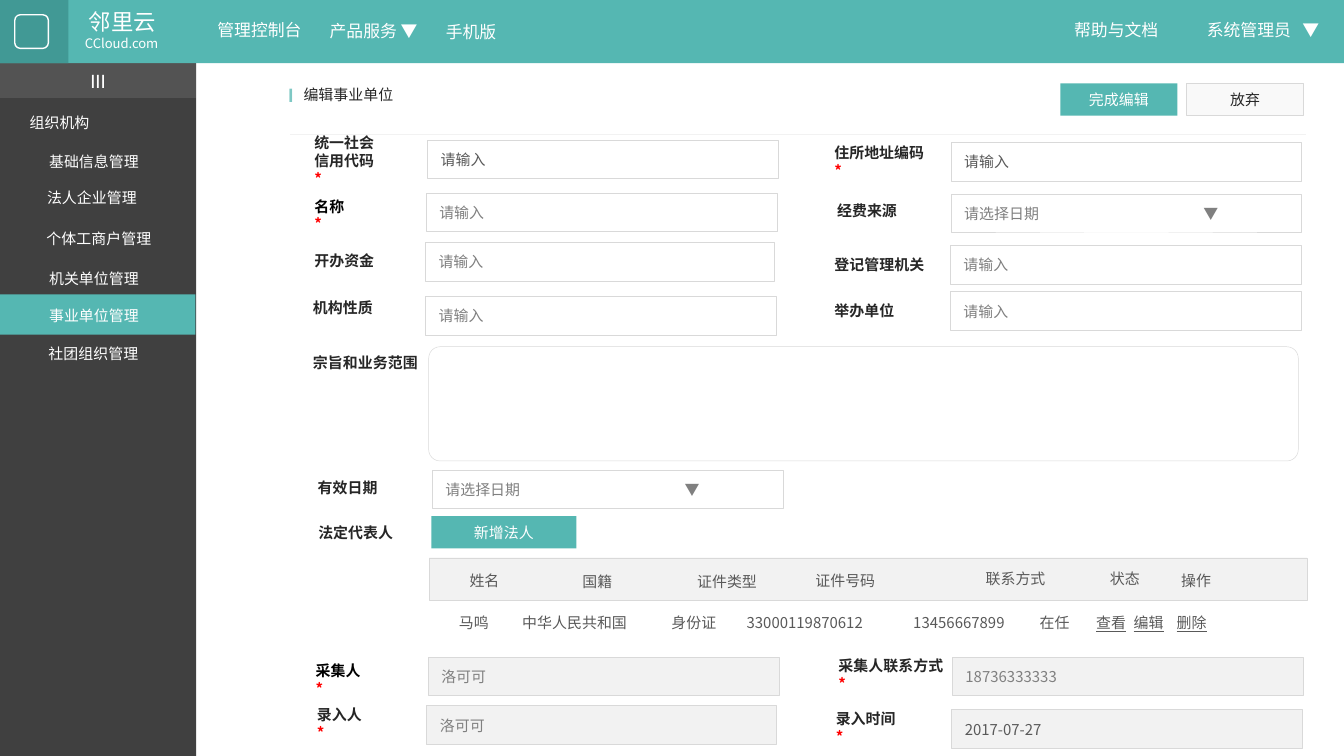
from typing import NamedTuple

from lxml.etree import SubElement
from pptx import Presentation
from pptx.dml.color import RGBColor
from pptx.enum.shapes import MSO_CONNECTOR, MSO_SHAPE
from pptx.enum.text import MSO_ANCHOR, PP_ALIGN
from pptx.oxml.ns import qn
from pptx.util import Inches, Pt

WIDTH = Inches(10)
HEIGHT = WIDTH * 9 // 16
COL, ROW = WIDTH / 100, HEIGHT / 56.25

WHITE = RGBColor(0xFF, 0xFF, 0xFF)
BLACK = RGBColor(0x00, 0x00, 0x00)
TEAL = RGBColor(0x55, 0xB7, 0xB2)
DARK_TEAL = RGBColor(0x41, 0x99, 0x95)
LIGHT_TEAL = RGBColor(0x7E, 0xC8, 0xC4)
CHARCOAL = RGBColor(0x40, 0x40, 0x40)
INK = RGBColor(0x26, 0x26, 0x26)
VALUE = RGBColor(0x59, 0x59, 0x59)
HINT = RGBColor(0x80, 0x80, 0x80)
BORDER = RGBColor(0xD9, 0xD9, 0xD9)
PALE = RGBColor(0xF2, 0xF2, 0xF2)
NEAR_WHITE = RGBColor(0xF9, 0xF9, 0xF9)
RED = RGBColor(0xFF, 0x00, 0x00)

CJK, LATIN = "Noto Sans CJK SC", "Calibri"
LEFT, CENTER = PP_ALIGN.LEFT, PP_ALIGN.CENTER
WIDE_INSET, SLIM_INSET = (0.1, 0.05, 0.1, 0.05), (0.07, 0.04, 0.07, 0.04)
LABEL_INSET = (0.1, 0.05, 0, 0.05)
ENTER, PICK_DATE = "请输入", "请选择日期\t▼"


class Area(NamedTuple):
    col: float
    row: float
    cols: float
    rows: float

    def emu(self):
        return (round(self.col * COL), round(self.row * ROW),
                round(self.cols * COL), round(self.rows * ROW))


class Label(NamedTuple):
    text: str
    area: Area
    color: RGBColor = INK


class Field(NamedTuple):
    text: str
    area: Area
    color: RGBColor = HINT
    fill: RGBColor | None = None


class Caption(NamedTuple):
    text: str
    area: Area
    size: float = 9


class Heading(NamedTuple):
    text: str
    area: Area
    align: PP_ALIGN = CENTER


def write(shape, text: str, *, size: float = 8, color: RGBColor = INK, font: str = CJK,
          bold: bool = False, align: PP_ALIGN = LEFT, anchor=MSO_ANCHOR.MIDDLE,
          inset: tuple = WIDE_INSET, tabs: tuple = (), underlined: tuple = ()) -> None:
    frame = shape.text_frame
    frame.word_wrap = True
    frame.vertical_anchor = anchor
    (frame.margin_left, frame.margin_top,
     frame.margin_right, frame.margin_bottom) = map(Inches, inset)
    for number, line in enumerate(text.split("\n")):
        paragraph = frame.add_paragraph() if number else frame.paragraphs[0]
        paragraph.alignment = align
        if tabs:
            stops = SubElement(paragraph._p.get_or_add_pPr(), qn("a:tabLst"))
            for position in tabs:
                SubElement(stops, qn("a:tab"), pos=str(Inches(position)), algn="l")
        for index, cell in enumerate(line.split("\t")):
            for piece in (["\t"] if index else []) + [cell]:
                run = paragraph.add_run()
                run.text = piece
                run.font.size = Pt(size)
                run.font.name = font
                run.font.bold = bold or piece == "▼"
                run.font.underline = piece in underlined
                run.font.color.rgb = RED if piece == "*" else color
                SubElement(run._r.get_or_add_rPr(), qn("a:ea"), typeface=font)


def draw_shape(shapes, area: Area, fill: RGBColor | None = None, line: RGBColor | None = None,
               weight: float = 0.25, preset=MSO_SHAPE.RECTANGLE):
    shape = shapes.add_shape(preset, *area.emu())
    shape.shadow.inherit = False
    if fill is None:
        shape.fill.background()
    else:
        shape.fill.solid()
        shape.fill.fore_color.rgb = fill
    if line is None:
        shape.line.fill.background()
    else:
        shape.line.color.rgb = line
        shape.line.width = Pt(weight)
    return shape


def draw_text(shapes, text: str, area: Area, **style) -> None:
    write(shapes.add_textbox(*area.emu()), text, **style)


def draw_divider(shapes, start: float, end: float, row: float) -> None:
    divider = shapes.add_connector(MSO_CONNECTOR.STRAIGHT, round(start * COL), round(row * ROW),
                                   round(end * COL), round(row * ROW))
    divider.line.color.rgb = PALE
    divider.line.width = Pt(0.25)
    SubElement(divider._element.spPr, qn("a:effectLst"))


NAVIGATION = [
    Caption("管理控制台", Area(14.2, 1.1, 10.2, 2.5)),
    Caption("产品服务 ▼", Area(23.1, 1.15, 9.4, 2.5)),
    Caption("手机版", Area(31.1, 1.2, 7.9, 2.5)),
    Caption("帮助与文档", Area(78.35, 1.05, 9.4, 2.5)),
    Caption("邻里云", Area(4.4, 0.2, 9.4, 3), 12),
    Caption("CCloud.com", Area(4.25, 2.2, 9.6, 2.2), 7),
]
MENU = [
    ("组织机构", 1.5, 8.05), ("基础信息管理", 2.95, 10.95), ("法人企业管理", 2.8, 13.6),
    ("个体工商户管理", 2.75, 16.7), ("机关单位管理", 2.95, 19.65),
    ("事业单位管理", 2.95, 22.4), ("社团组织管理", 2.9, 25.2),
]
LABELS = [
    Label("统一社会\n信用代码\n*", Area(22.4, 10.1, 7.4, 3.7)),
    Label("名称\n*", Area(22.4, 14.8, 4.8, 2.4), BLACK),
    Label("开办资金", Area(22.4, 18.2, 6.5, 2.4)),
    Label("机构性质", Area(22.3, 21.7, 6.5, 2.4)),
    Label("宗旨和业务范围", Area(22.3, 25.8, 9.9, 2.4)),
    Label("有效日期", Area(22.65, 35.1, 6.5, 2.4)),
    Label("法定代表人", Area(22.7, 38.4, 7.6, 2.4)),
    Label("采集人\n*", Area(22.5, 49.35, 5.9, 2.4), BLACK),
    Label("录入人\n*", Area(22.6, 52.65, 5.9, 2.4)),
    Label("住所地址编码\n*", Area(61.1, 10.85, 9.3, 2.4)),
    Label("经费来源", Area(61.3, 14.5, 6.5, 2.4)),
    Label("登记管理机关", Area(61.1, 18.5, 8.8, 2.4)),
    Label("举办单位", Area(61.1, 21.9, 6.5, 2.4)),
    Label("采集人联系方式\n*", Area(61.4, 49, 10.4, 2.4)),
    Label("录入时间\n*", Area(61.2, 52.95, 7.1, 2.4)),
]
FIELDS = [
    Field(ENTER, Area(31.8, 10.4, 26.1, 2.9), VALUE),
    Field(ENTER, Area(31.7, 14.4, 26.1, 2.8)),
    Field(ENTER, Area(31.65, 18, 26, 2.9)),
    Field(ENTER, Area(31.65, 22.05, 26.1, 2.9)),
    Field(PICK_DATE, Area(32.15, 35, 26.1, 2.8)),
    Field("洛可可", Area(31.85, 48.9, 26.1, 2.8), fill=PALE),
    Field("洛可可", Area(31.75, 52.5, 26, 2.9), fill=PALE),
    Field(ENTER, Area(70.75, 10.6, 26.1, 2.9), VALUE),
    Field(PICK_DATE, Area(70.75, 14.45, 26.1, 2.8)),
    Field(ENTER, Area(70.7, 18.25, 26.1, 2.9)),
    Field(ENTER, Area(70.7, 21.7, 26.1, 2.9)),
    Field("18736333333", Area(70.85, 48.9, 26.1, 2.8), fill=PALE),
    Field("2017-07-27", Area(70.8, 52.8, 26.1, 2.9), VALUE, PALE),
]
HEADINGS = [
    Heading("姓名", Area(32.1, 41.95, 7.9, 2.5)),
    Heading("国籍", Area(39.7, 42, 9.5, 2.5)),
    Heading("证件类型", Area(49, 42, 10.2, 2.5)),
    Heading("证件号码", Area(57.8, 41.95, 10.2, 2.5)),
    Heading("联系方式", Area(72.35, 41.8, 6.6, 2.5), LEFT),
    Heading("状态", Area(81.6, 41.8, 6.6, 2.5), LEFT),
    Heading("操作", Area(86.9, 41.95, 7.9, 2.5), LEFT),
]
ACTIONS = ("查看", "编辑", "删除")
REPRESENTATIVE = ("马鸣", "中华人民共和国", "身份证", "33000119870612", "13456667899", "在任", *ACTIONS)
REPRESENTATIVE_TABS = (0.47, 1.58, 2.14, 3.38, 4.32, 4.74, 5.02, 5.34)


def draw_sidebar(shapes) -> None:
    draw_shape(shapes, Area(0, 4.6, 14.6, 51.65), CHARCOAL)
    toggle = draw_shape(shapes, Area(0, 4.7, 14.6, 2.6), WHITE)
    tint = toggle._element.spPr.find(qn("a:solidFill"))[0]
    SubElement(tint, qn("a:alpha"), val="10000")
    write(toggle, "III", size=11, color=WHITE, font=LATIN, align=CENTER)
    draw_shape(shapes, Area(0, 21.9, 14.55, 3), TEAL)
    for text, col, row in MENU:
        draw_text(shapes, text, Area(col, row, 10.2, 2.1), color=WHITE,
                  anchor=MSO_ANCHOR.TOP, inset=SLIM_INSET)


def draw_header(shapes) -> None:
    draw_shape(shapes, Area(0, 0, 100, 4.7), TEAL)
    draw_shape(shapes, Area(0, 0, 5.1, 4.7), DARK_TEAL)
    draw_shape(shapes, Area(1.1, 1.1, 2.5, 2.5), None, WHITE, 0.75, MSO_SHAPE.ROUNDED_RECTANGLE)
    for caption in NAVIGATION:
        draw_text(shapes, caption.text, caption.area, size=caption.size, color=WHITE,
                  align=CENTER, anchor=MSO_ANCHOR.TOP, inset=SLIM_INSET)
    draw_text(shapes, "系统管理员\t▼", Area(88.6, 1.1, 11, 2.5), size=9, color=WHITE,
              anchor=MSO_ANCHOR.TOP, inset=(0.12, 0.04, 0, 0.04), tabs=(0.71,))


def draw_form(shapes) -> None:
    draw_text(shapes, "编辑事业单位", Area(21.6, 5.9, 18.9, 2.4), anchor=MSO_ANCHOR.TOP)
    draw_text(shapes, "I", Area(20.1, 5.7, 3.1, 2.7), size=11, color=LIGHT_TEAL,
              font=LATIN, bold=True, align=CENTER)
    draw_divider(shapes, 21.6, 97.2, 10)
    for text, area in (("完成编辑", Area(78.9, 6.2, 8.7, 2.4)), ("新增法人", Area(32.1, 38.4, 10.8, 2.4))):
        write(draw_shape(shapes, area, TEAL), text, color=WHITE, align=CENTER)
    write(draw_shape(shapes, Area(88.3, 6.2, 8.7, 2.4), NEAR_WHITE, BORDER), "放弃", align=CENTER)
    for field in FIELDS:
        write(draw_shape(shapes, field.area, field.fill, BORDER), field.text,
              color=field.color, tabs=(1.78,) if "\t" in field.text else ())
    for label in LABELS:
        draw_text(shapes, label.text, label.area, color=label.color, bold=True, inset=LABEL_INSET)
    scope = draw_shape(shapes, Area(31.9, 25.8, 64.7, 8.5), None, BORDER,
                       preset=MSO_SHAPE.ROUNDED_RECTANGLE)
    scope.adjustments[0] = 0.1


def draw_representatives(shapes) -> None:
    draw_shape(shapes, Area(31.95, 41.5, 65.3, 3.2), PALE, BORDER)
    for heading in HEADINGS:
        draw_text(shapes, heading.text, heading.area, color=VALUE, align=heading.align)
    draw_text(shapes, "\t".join(REPRESENTATIVE), Area(32.15, 44.9, 65.1, 2.9), color=VALUE,
              inset=(0.2, 0.05, 0.1, 0.05), tabs=REPRESENTATIVE_TABS, underlined=ACTIONS)


def main() -> None:
    deck = Presentation()
    deck.slide_width, deck.slide_height = WIDTH, HEIGHT
    shapes = deck.slides.add_slide(deck.slide_layouts[6]).shapes
    for draw in (draw_sidebar, draw_header, draw_form, draw_representatives):
        draw(shapes)
    deck.save("out.pptx")


if __name__ == "__main__":
    main()
